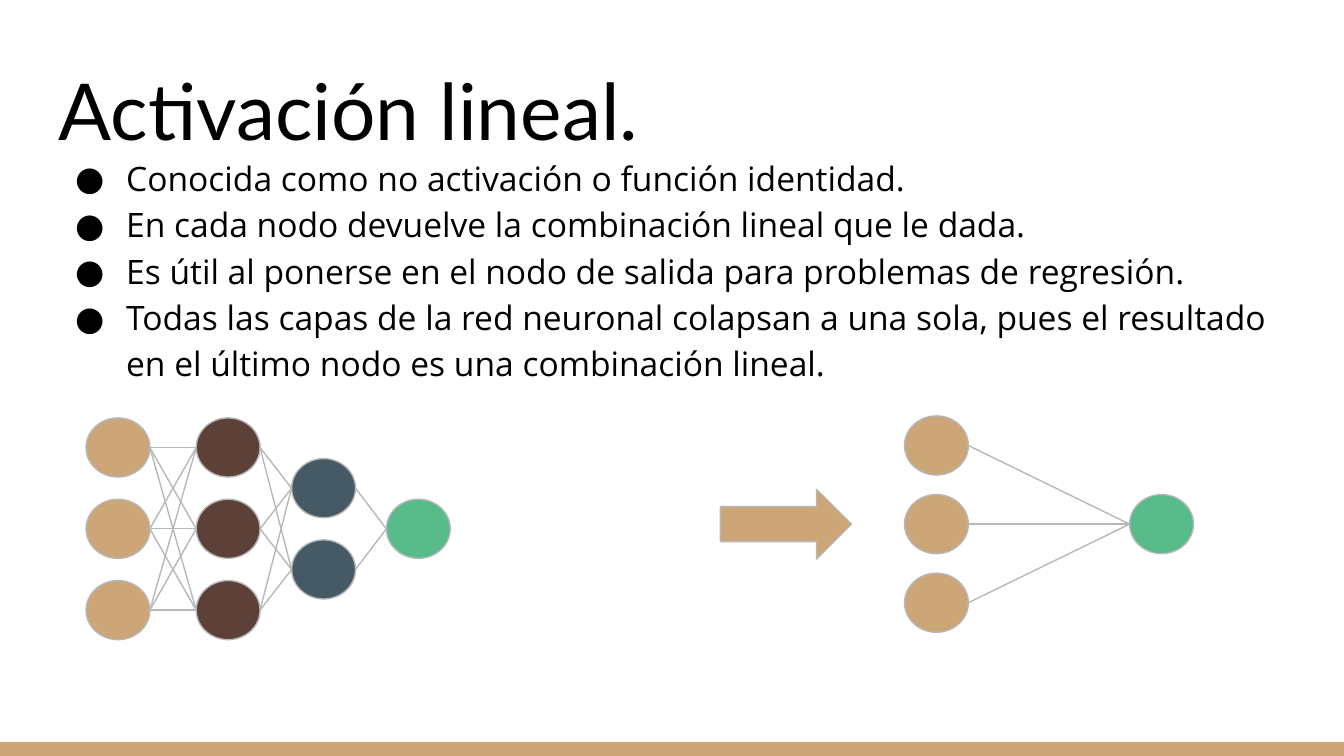
"""Builds a slide on linear activation, with a network that collapses into one layer."""
from dataclasses import dataclass
from itertools import product

from lxml.etree import SubElement
from pptx import Presentation
from pptx.dml.color import RGBColor
from pptx.enum.shapes import MSO_CONNECTOR, MSO_SHAPE
from pptx.enum.text import MSO_ANCHOR
from pptx.oxml.ns import qn
from pptx.util import Inches, Pt


@dataclass(frozen=True)
class Theme:
    """Colours, fonts and type sizes of the slide."""
    text: str = "000000"
    tan: str = "CCA677"
    brown: str = "5D4037"
    slate: str = "455A64"
    green: str = "57BB8A"
    edge: str = "B7B7B7"
    title_font: str = "Lato"
    body_font: str = "Open Sans"
    title_size: int = 42
    body_size: int = 18
    line_width: float = 0.75


THEME = Theme()
COLS, ROWS = 100, 56.25
NODE_W, NODE_H = 4.75, 4.4
TITLE = "Activación lineal."
BULLETS = (
    "Conocida como no activación o función identidad.",
    "En cada nodo devuelve la combinación lineal que le dada.",
    "Es útil al ponerse en el nodo de salida para problemas de regresión.",
    "Todas las capas de la red neuronal colapsan a una sola, pues el resultado "
    "en el último nodo es una combinación lineal.",
)


def grid(*cells):
    """Turn grid columns or rows into slide lengths."""
    return [Inches(10 * cell / COLS) for cell in cells]


def add_solid(s, kind, box, color, outlined=True):
    """Add a filled preset shape, with or without the thin outline."""
    sp = s.shapes.add_shape(kind, *grid(*box))
    sp.shadow.inherit = False
    sp.fill.solid()
    sp.fill.fore_color.rgb = RGBColor.from_string(color)
    if outlined:
        sp.line.color.rgb = RGBColor.from_string(THEME.edge)
        sp.line.width = Pt(THEME.line_width)
    else:
        sp.line.fill.background()
    return sp


def add_text(s, box, lines, font, size, anchor=MSO_ANCHOR.TOP):
    """Add a text box with one paragraph per line."""
    tf = s.shapes.add_textbox(*grid(*box)).text_frame
    tf.word_wrap = True
    tf.vertical_anchor = anchor
    tf.margin_left = tf.margin_right = tf.margin_top = tf.margin_bottom = Inches(0.1)
    tf.text = "\n".join(lines)
    for p in tf.paragraphs:
        for r in p.runs:
            r.font.name = font
            r.font.size = Pt(size)
            r.font.color.rgb = RGBColor.from_string(THEME.text)
    return tf


def add_bullet(p):
    """Give a paragraph a round bullet and a hanging indent."""
    p.line_spacing = 1.15
    pPr = p._p.get_or_add_pPr()
    pPr.set("marL", str(Inches(0.5)))
    pPr.set("indent", str(Inches(-0.38)))
    color = SubElement(pPr, qn("a:buClr"))
    SubElement(color, qn("a:srgbClr"), val=THEME.text)
    SubElement(pPr, qn("a:buFont"), typeface=THEME.body_font)
    SubElement(pPr, qn("a:buChar"), char="●")


def add_edge(s, start, end):
    """Link the right side of one node to the left side of another."""
    ends = grid(start[0] + NODE_W, start[1] + NODE_H / 2, end[0], end[1] + NODE_H / 2)
    cx = s.shapes.add_connector(MSO_CONNECTOR.STRAIGHT, *ends)
    cx.line.color.rgb = RGBColor.from_string(THEME.edge)
    cx.line.width = Pt(THEME.line_width)
    SubElement(cx._element.spPr, qn("a:effectLst"))


def layer(left, middle, count, pitch, color):
    """Spread a column of nodes evenly about a middle row."""
    top = middle - NODE_H / 2 - pitch * (count - 1) / 2
    return color, [(left, top + i * pitch) for i in range(count)]


def add_network(s, layers):
    """Draw every layer of nodes, fully linked to the next."""
    for color, nodes in layers:
        for left, top in nodes:
            add_solid(s, MSO_SHAPE.OVAL, (left, top, NODE_W, NODE_H), color)
    for (_, sources), (_, targets) in zip(layers, layers[1:]):
        for start, end in product(sources, targets):
            add_edge(s, start, end)


def main():
    """Build and save the slide."""
    prs = Presentation()
    prs.slide_width, prs.slide_height = grid(COLS, ROWS)
    s = prs.slides.add_slide(prs.slide_layouts[6])

    add_solid(s, MSO_SHAPE.RECTANGLE, (0, 55.2, COLS, ROWS - 55.2), THEME.tan, outlined=False)
    add_text(s, (3.4, 3.5, 93.2, 9.1), [TITLE], THEME.title_font, THEME.title_size,
             MSO_ANCHOR.BOTTOM)
    body = add_text(s, (3.4, 10.3, 93.2, 39.7), BULLETS, THEME.body_font, THEME.body_size)
    for p in body.paragraphs:
        add_bullet(p)

    add_network(s, [
        layer(6.4, 39.35, 3, 6.05, THEME.tan),
        layer(14.6, 39.35, 3, 6.05, THEME.brown),
        layer(21.7, 39.35, 2, 6.05, THEME.slate),
        layer(28.75, 39.35, 1, 0, THEME.green),
    ])
    add_solid(s, MSO_SHAPE.RIGHT_ARROW, (53.6, 36.4, 9.75, 5.2), THEME.tan)
    add_network(s, [
        layer(67.3, 39, 3, 5.85, THEME.tan),
        layer(84.05, 39, 1, 0, THEME.green),
    ])
    prs.save("out.pptx")


if __name__ == "__main__":
    main()
